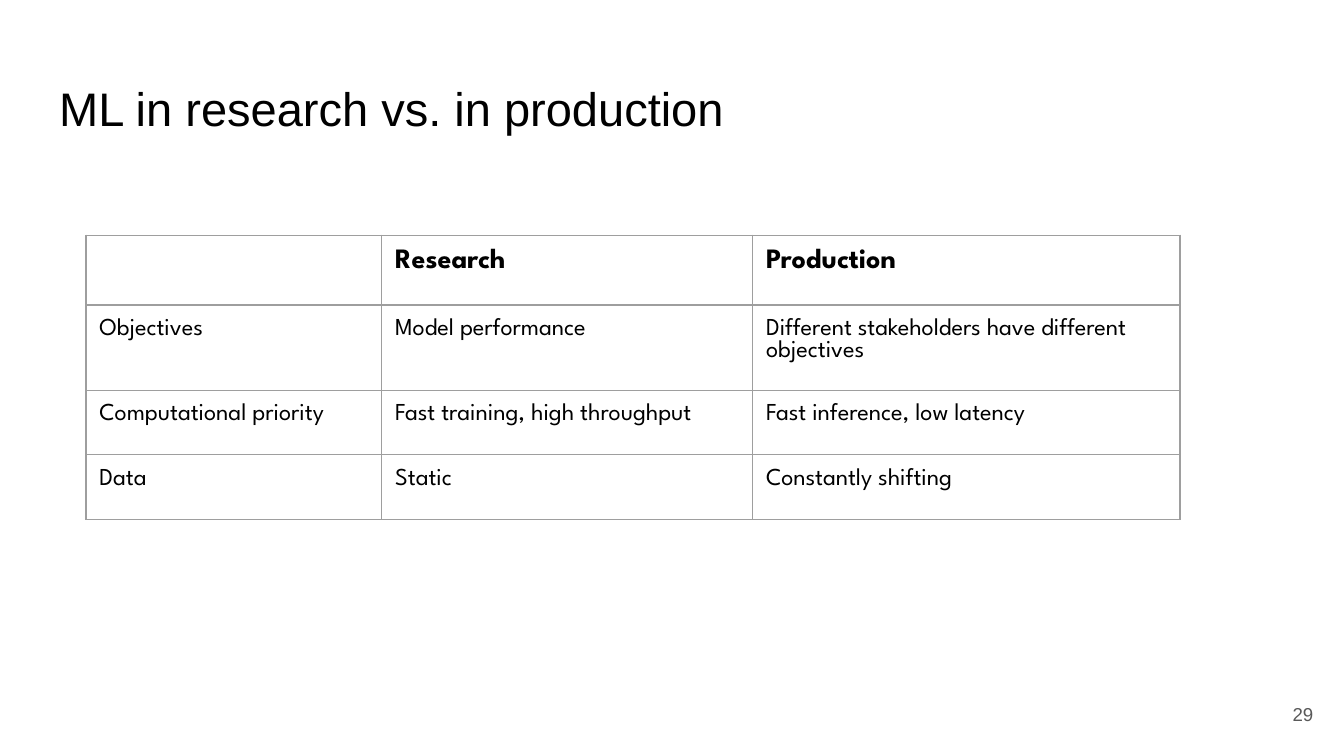
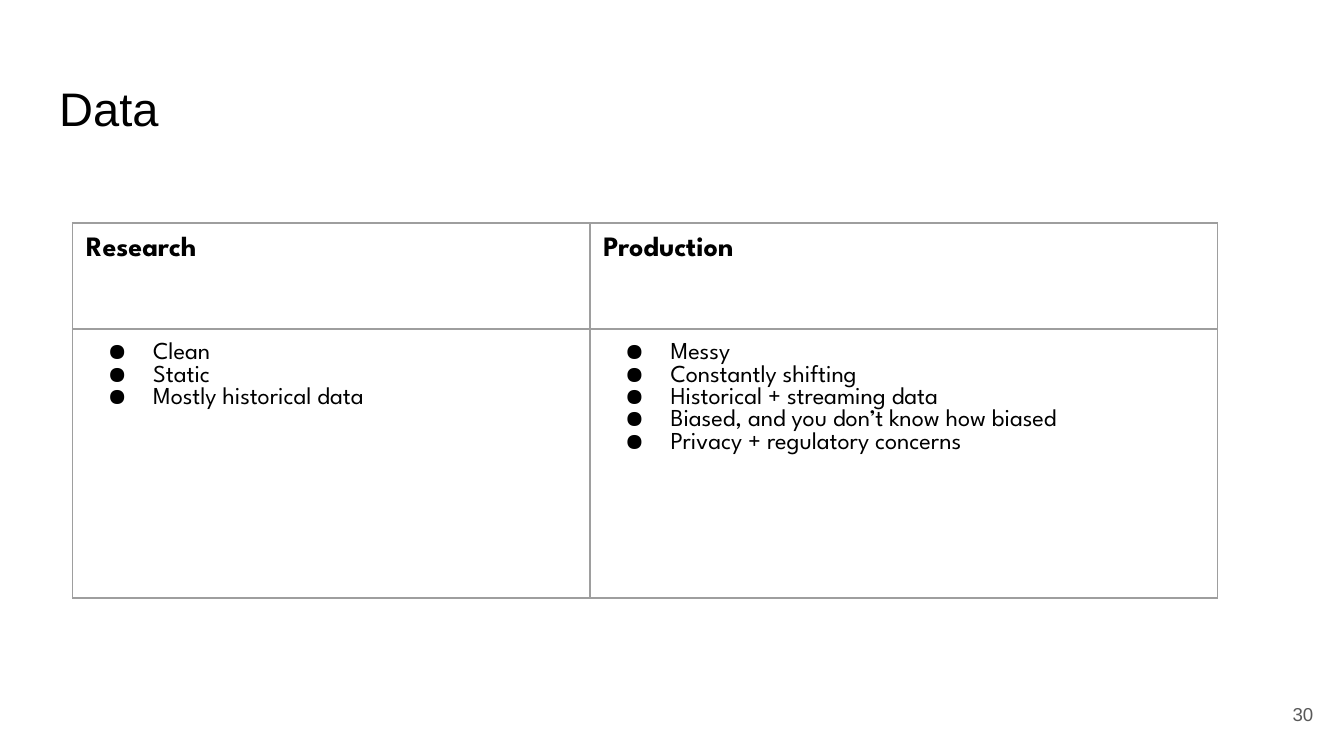
from dataclasses import dataclass

import pptx
import pptx.dml.color
import pptx.enum.text
import pptx.oxml
import pptx.oxml.ns
import pptx.util
from pptx.util import Inches

# Shared style
TITLE_FONT = "Arial"
TABLE_FONT = "League Spartan"
BLACK = "000000"
GRAY = "595959"
BORDER = "9E9E9E"
INSET = Inches(0.1)
TITLE_LAYOUT = 5


@dataclass
class Grid:
    left: float
    top: float
    columns: list[float]
    rows: list[float]
    border: float
    cells: list[list[str]]
    bulleted: bool = False


@dataclass
class Page:
    number: int
    title: str
    grid: Grid


PAGES = [
    Page(29, "ML in research vs. in production", Grid(
        0.64, 1.75, [2.2, 2.76, 3.18], [0.52, 0.48, 0.48, 0.48], 0.75,
        [
            ["", "Research", "Production"],
            ["Objectives", "Model performance",
             "Different stakeholders have different objectives"],
            ["Computational priority", "Fast training, high throughput",
             "Fast inference, low latency"],
            ["Data", "Static", "Constantly shifting"],
        ])),
    Page(30, "Data", Grid(
        0.54, 1.66, [3.85, 4.67], [0.79, 2], 1,
        [
            ["Research", "Production"],
            ["Clean\nStatic\nMostly historical data",
             "Messy\nConstantly shifting\nHistorical + streaming data\n"
             "Biased, and you don’t know how biased\n"
             "Privacy + regulatory concerns"],
        ], bulleted=True)),
]


def color(value: str) -> pptx.dml.color.RGBColor:
    return pptx.dml.color.RGBColor.from_string(value)


def set_font(para, name: str, size: float, value: str, bold: bool = False) -> None:
    para.font.name = name
    para.font.size = pptx.util.Pt(size)
    para.font.bold = bold
    para.font.color.rgb = color(value)


def set_insets(target) -> None:
    target.margin_left = target.margin_right = INSET
    target.margin_top = target.margin_bottom = INSET


def add_bullet(para) -> None:
    properties = para._p.get_or_add_pPr()
    properties.set("marL", str(Inches(0.5)))
    properties.set("indent", str(Inches(-0.34)))
    namespace = pptx.oxml.ns.nsdecls("a")
    for markup in (f'<a:buClr {namespace}><a:srgbClr val="{BLACK}"/></a:buClr>',
                   f'<a:buChar {namespace} char="●"/>'):
        properties.append(pptx.oxml.parse_xml(markup))


def add_borders(cell, width: float) -> None:
    properties = cell._tc.get_or_add_tcPr()
    for side in ("lnL", "lnR", "lnT", "lnB"):
        properties.append(pptx.oxml.parse_xml(
            f'<a:{side} {pptx.oxml.ns.nsdecls("a")} w="{pptx.util.Pt(width)}">'
            f'<a:solidFill><a:srgbClr val="{BORDER}"/></a:solidFill></a:{side}>'))


def add_title(slide, text: str) -> None:
    title = slide.shapes.title
    title.left, title.top = Inches(0.34), Inches(0.49)
    title.width, title.height = Inches(9.32), Inches(0.63)
    frame = title.text_frame
    frame.text = text
    frame.word_wrap = True
    frame.auto_size = pptx.enum.text.MSO_AUTO_SIZE.NONE
    frame.vertical_anchor = pptx.enum.text.MSO_ANCHOR.TOP
    set_insets(frame)
    para = frame.paragraphs[0]
    para.alignment = pptx.enum.text.PP_ALIGN.LEFT
    set_font(para, TITLE_FONT, 25.2, BLACK)


def add_page_number(slide, number: int) -> None:
    box = slide.shapes.add_textbox(Inches(9.27), Inches(5.1), Inches(0.6), Inches(0.43))
    frame = box.text_frame
    frame.text = str(number)
    frame.word_wrap = True
    frame.vertical_anchor = pptx.enum.text.MSO_ANCHOR.MIDDLE
    set_insets(frame)
    para = frame.paragraphs[0]
    para.alignment = pptx.enum.text.PP_ALIGN.RIGHT
    set_font(para, TITLE_FONT, 10, GRAY)


def add_grid(slide, grid: Grid) -> None:
    table = slide.shapes.add_table(
        len(grid.rows), len(grid.columns), Inches(grid.left), Inches(grid.top),
        Inches(sum(grid.columns)), Inches(sum(grid.rows))).table
    table.first_row = table.horz_banding = False
    for column, width in zip(table.columns, grid.columns):
        column.width = Inches(width)
    for index, (row, height) in enumerate(zip(table.rows, grid.rows)):
        row.height = Inches(height)
        header = index == 0
        size = 15 if header else 13
        for cell, text in zip(row.cells, grid.cells[index]):
            cell.text = text
            set_insets(cell)
            add_borders(cell, grid.border)
            cell.fill.background()
            for para in cell.text_frame.paragraphs:
                if grid.bulleted and not header:
                    add_bullet(para)
                set_font(para, TABLE_FONT, size, BLACK, header)
                # Row heights and bullets follow the size of the runs
                for span in para.runs:
                    span.font.size = pptx.util.Pt(size)


def main() -> None:
    deck = pptx.Presentation()
    deck.slide_width = Inches(10)
    deck.slide_height = deck.slide_width * 9 // 16
    for page in PAGES:
        slide = deck.slides.add_slide(deck.slide_layouts[TITLE_LAYOUT])
        add_page_number(slide, page.number)
        add_title(slide, page.title)
        add_grid(slide, page.grid)
    deck.save("out.pptx")


if __name__ == "__main__":
    main()
